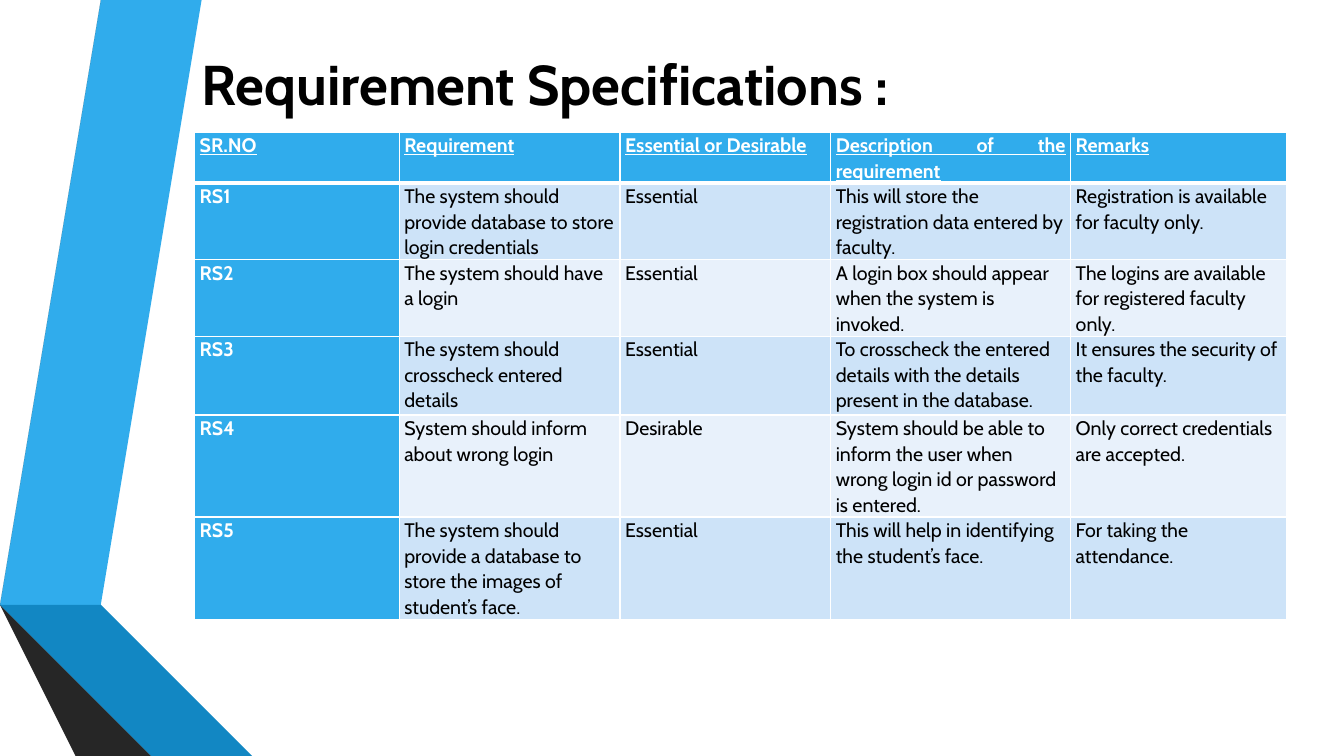
from lxml import etree
from pptx import Presentation
from pptx.dml.color import RGBColor
from pptx.enum import text
from pptx.oxml import ns
from pptx.util import Inches, Pt

FONT = "Cabin"
BLACK = RGBColor(0x00, 0x00, 0x00)
WHITE = RGBColor(0xFF, 0xFF, 0xFF)
SKY = RGBColor(0x30, 0xAC, 0xEC)
BLUE = RGBColor(0x12, 0x87, 0xC3)
NAVY = RGBColor(0x0C, 0x5A, 0x82)
GREY = RGBColor(0x59, 0x59, 0x59)
CHARCOAL = RGBColor(0x40, 0x40, 0x40)
SOOT = RGBColor(0x26, 0x26, 0x26)
ODD_BAND = RGBColor(0xCD, 0xE3, 0xF8)
EVEN_BAND = RGBColor(0xE8, 0xF1, 0xFB)

RIBBONS = [
    (SKY, [(0.5, 5.78), (0.77, 5.83), (1.73, 0), (1.45, 0)]),
    (GREY, [(1.39, 0), (1.11, 0), (0.16, 5.73), (0.44, 5.77)]),
    (SOOT, [(0.16, 5.73), (1.45, 7.5), (1.51, 7.5)]),
    (NAVY, [(0.5, 5.79), (2.08, 7.5), (2.14, 7.5)]),
    (BLUE, [(0.5, 5.78), (2.14, 7.5), (2.83, 7.5), (0.77, 5.83)]),
    (CHARCOAL, [(2.02, 7.5), (0.48, 5.83), (0.43, 5.77), (0.16, 5.73), (1.51, 7.5)]),
]

COLUMN_WIDTHS = [2.03, 2.19, 2.09, 2.38, 2.14]
ROW_HEIGHTS = [0.31, 0.62, 0.62, 0.78, 0.93, 0.78]
REQUIREMENTS = [
    ["SR.NO", "Requirement", "Essential or Desirable",
     "Description of the requirement", "Remarks"],
    ["RS1", "The system should provide database to store login credentials", "Essential",
     "This will store the registration data entered by faculty.",
     "Registration is available for faculty only."],
    ["RS2", "The system should have a login", "Essential",
     "A login box should appear when the system is invoked.",
     "The logins are available for registered faculty only."],
    ["RS3", "The system should crosscheck entered details", "Essential",
     "To crosscheck the entered details with the details present in the database.",
     "It ensures the security of the faculty."],
    ["RS4", "System should inform about wrong login", "Desirable",
     "System should be able to inform the user when wrong login id or password is entered.",
     "Only correct credentials are accepted."],
    ["RS5", "The system should provide a database to store the images of student’s face.",
     "Essential", "This will help in identifying the student’s face.",
     "For taking the attendance."],
]


def style_font(font, size, color, bold):
    font.name = FONT
    font.size = Pt(size)
    font.color.rgb = color
    font.bold = bold


def add_ribbon(slide, color, points):
    outline = slide.shapes.build_freeform(*points[0], scale=Inches(1))
    outline.add_line_segments(points[1:], close=True)
    ribbon = outline.convert_to_shape()
    ribbon.shadow.inherit = False
    ribbon.fill.solid()
    ribbon.fill.fore_color.rgb = color
    ribbon.line.fill.background()


def set_title(slide, wording):
    title = slide.shapes.title
    title.left, title.top = Inches(1.9), Inches(0.26)
    title.width, title.height = Inches(10.64), Inches(1.13)
    title.text_frame.text = wording
    title.text_frame.vertical_anchor = text.MSO_ANCHOR.MIDDLE
    paragraph = title.text_frame.paragraphs[0]
    paragraph.alignment = text.PP_ALIGN.LEFT
    style_font(paragraph.font, 40, BLACK, True)


def set_borders(cell, widths):
    properties = cell._tc.get_or_add_tcPr()
    for side, width in widths.items():
        border = etree.SubElement(properties, ns.qn(f"a:ln{side}"), w=str(Pt(width)))
        fill = etree.SubElement(border, ns.qn("a:solidFill"))
        etree.SubElement(fill, ns.qn("a:srgbClr"), val=str(WHITE))


def fill_cell(cell, wording, row, column):
    is_header = row == 0
    is_label = is_header or column == 0
    set_borders(cell, {"L": 1, "R": 1, "T": 3 if row == 1 else 1, "B": 3 if is_header else 1})
    cell.fill.solid()
    cell.fill.fore_color.rgb = SKY if is_label else ODD_BAND if row % 2 else EVEN_BAND
    cell.margin_left = cell.margin_right = Inches(0.05)
    cell.margin_top = cell.margin_bottom = 0
    cell.text = wording
    paragraph = cell.text_frame.paragraphs[0]
    paragraph.alignment = text.PP_ALIGN.JUSTIFY if is_header else text.PP_ALIGN.LEFT
    paragraph.line_spacing = 1.07
    style_font(paragraph.font, 14, WHITE if is_label else BLACK, is_label)
    paragraph.font.underline = is_header


def add_requirements(slide):
    frame = slide.shapes.add_table(
        len(ROW_HEIGHTS), len(COLUMN_WIDTHS),
        Inches(1.93), Inches(1.31), Inches(10.84), Inches(4.77))
    table = frame.table
    table.first_col = True
    for column, width in zip(table.columns, COLUMN_WIDTHS):
        column.width = Inches(width)
    for row, height in zip(table.rows, ROW_HEIGHTS):
        row.height = Inches(height)
    for row, wordings in enumerate(REQUIREMENTS):
        for column, wording in enumerate(wordings):
            fill_cell(table.cell(row, column), wording, row, column)
    frame.height = Inches(4.77)


def main():
    deck = Presentation()
    deck.slide_width, deck.slide_height = Inches(13.33), Inches(7.5)
    slide = deck.slides.add_slide(deck.slide_layouts.get_by_name("Title Only"))
    for color, points in RIBBONS:
        add_ribbon(slide, color, points)
    set_title(slide, "Requirement Specifications :")
    add_requirements(slide)
    deck.save("out.pptx")


if __name__ == "__main__":
    main()
